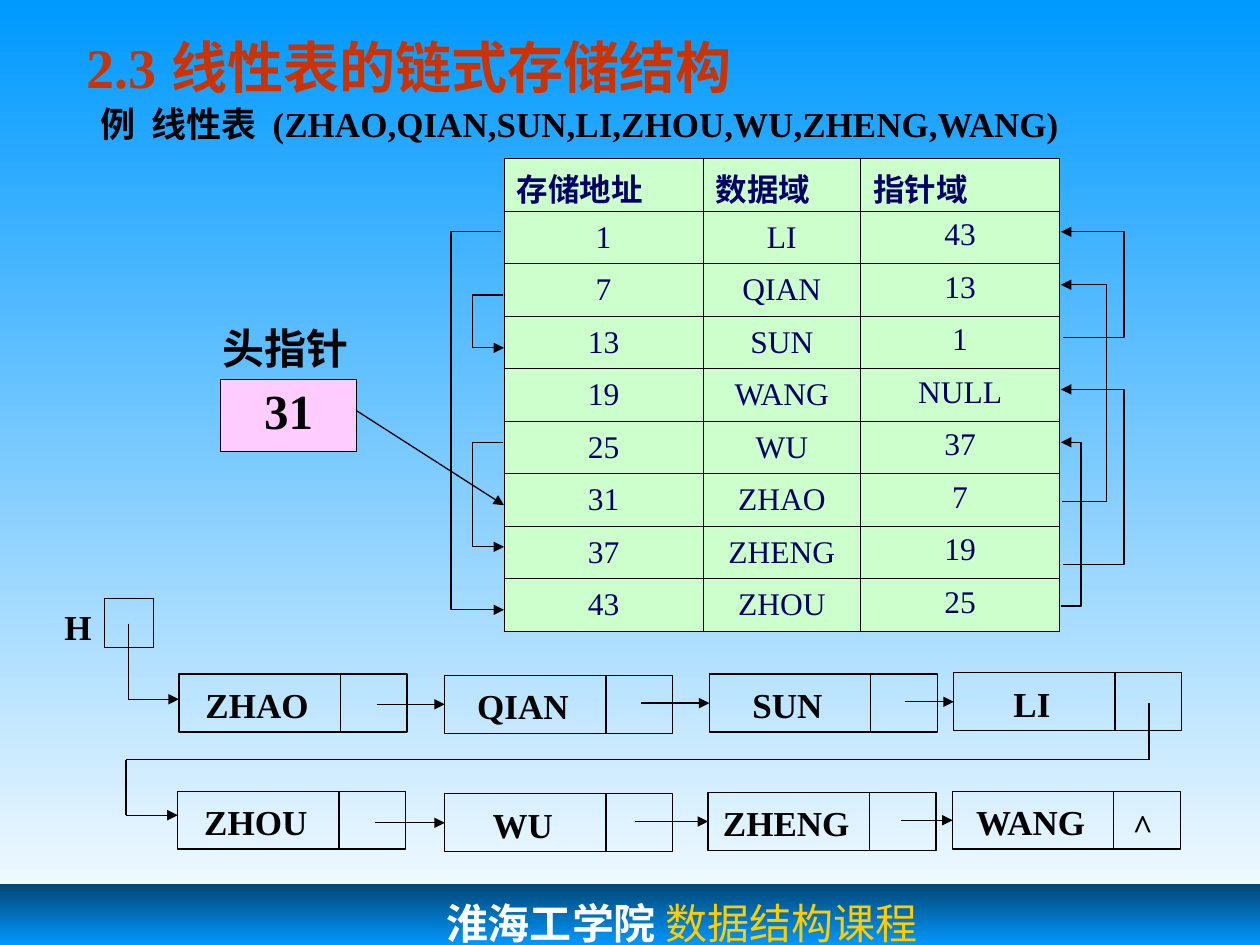
from copy import deepcopy
from itertools import pairwise

from pptx import Presentation
from pptx.dml.color import RGBColor
from pptx.enum.shapes import MSO_CONNECTOR, MSO_SHAPE
from pptx.enum.text import MSO_ANCHOR, MSO_AUTO_SIZE, PP_ALIGN
from pptx.oxml.ns import qn
from pptx.util import Inches, Pt

LEFT, CENTER = PP_ALIGN.LEFT, PP_ALIGN.CENTER
TOP, MIDDLE = MSO_ANCHOR.TOP, MSO_ANCHOR.MIDDLE
FIT_SHAPE = MSO_AUTO_SIZE.SHAPE_TO_FIT_TEXT
RECTANGLE, STRAIGHT = MSO_SHAPE.RECTANGLE, MSO_CONNECTOR.STRAIGHT
SERIF = "Times New Roman"
BLACK, NAVY, SKY, DEEP, GREEN = "000000", "000066", "0099FF", "004776", "CCFFCC"

HEADING = "2.3 线性表的链式存储结构"
EXAMPLE = "例  线性表  (ZHAO,QIAN,SUN,LI,ZHOU,WU,ZHENG,WANG)"
FOOTER = [("淮海工学院", "Courier New", "FFFFFF", True),
          (" 数据结构课程", SERIF, "FFCC00", False)]

ADDRESSES = [["存储地址"], ["1"], ["7"], ["13"], ["19"], ["25"], ["31"], ["37"], ["43"]]
RECORDS = [["数据域", "指针域"], ["LI", "43"], ["QIAN", "13"], ["SUN", "1"],
           ["WANG", "NULL"], ["WU", "37"], ["ZHAO", "7"], ["ZHENG", "19"], ["ZHOU", "25"]]

NODE_ROWS = [
    [("ZHAO", 1.42, 5.35, 1.02), ("QIAN", 3.53, 5.36, 0.92),
     ("SUN", 5.63, 5.35, 0.75), ("LI", 7.57, 5.34, 0.49)],
    [("ZHOU", 1.41, 6.28, 1.02), ("WU", 3.53, 6.3, 0.68),
     ("ZHENG", 5.62, 6.29, 1.2), ("WANG", 7.56, 6.28, 1.09)],
]
NEXT_STARTS = [[2.99, 5.09, 7.18], [2.98, 5.04, 7.15]]
NODE_W, NODE_H, DATA_W, LABEL_H = 1.81, 0.46, 1.28, 0.44
NAME_CENTER = 0.62
TURNING_LINKS = [
    [(1.02, 4.95), (1.02, 5.55), (1.42, 5.55)],
    [(9.12, 5.58), (9.12, 6.03), (1, 6.03), (1, 6.47), (1.41, 6.47)],
]
POINTER_LOOPS = [
    (8.43, 8.78, 8.42, 3.98, 2.26), (3.99, 3.75, 4, 2.34, 2.76),
    (8.44, 8.92, 8.42, 2.68, 1.84), (3.98, 3.58, 4, 1.84, 4.84),
    (8.42, 8.58, 8.42, 4.81, 3.51), (3.99, 3.75, 4, 3.51, 4.34),
    (8.44, 8.92, 8.42, 4.48, 3.09),
]


def rgb(value):
    return RGBColor.from_string(value)


def style_text(paragraph, size, color, bold=True, align=LEFT, font=SERIF):
    paragraph.alignment = align
    for run in paragraph.runs:
        run.font.size, run.font.name, run.font.bold = Pt(size), font, bold
        run.font.color.rgb = rgb(color)


def add_label(text, x, y, w, h, size, align=LEFT, anchor=MIDDLE):
    label = slide.shapes.add_textbox(Inches(x), Inches(y), Inches(w), Inches(h))
    frame = label.text_frame
    frame.text = text
    frame.word_wrap = False
    frame.auto_size = FIT_SHAPE
    frame.vertical_anchor = anchor
    if align == CENTER:
        frame.margin_left = frame.margin_right = 0
    style_text(frame.paragraphs[0], size, BLACK, align=align)


def add_box(x, y, w, h):
    box = slide.shapes.add_shape(RECTANGLE, Inches(x), Inches(y), Inches(w), Inches(h))
    box.shadow.inherit = False
    box.fill.background()
    draw_line(box)
    return box


def draw_line(part, arrow=False):
    part.line.color.rgb = rgb(BLACK)
    part.line.width = Pt(0.75)
    if arrow:
        outline = part.get_or_add_ln()
        outline.append(outline.makeelement(qn("a:tailEnd"), {"type": "triangle"}))


def add_segment(start, end, arrow=False):
    segment = slide.shapes.add_connector(STRAIGHT, *map(Inches, (*start, *end)))
    draw_line(segment, arrow)
    properties = segment._element.spPr
    properties.append(properties.makeelement(qn("a:effectLst"), {}))
    return segment


def set_gradient(fill, first, last):
    fill.gradient()
    fill.gradient_angle = 270
    for stop, color in zip(fill.gradient_stops, (first, last)):
        stop.color.rgb = rgb(color)


def add_border(cell):
    properties = cell._tc.get_or_add_tcPr()
    for side in ("a:lnL", "a:lnR", "a:lnT", "a:lnB"):
        edge = properties.makeelement(qn(side), {"w": str(Pt(0.45))})
        solid = edge.makeelement(qn("a:solidFill"), {})
        solid.append(solid.makeelement(qn("a:srgbClr"), {"val": BLACK}))
        edge.append(solid)
        properties.append(edge)


def add_grid(rows, x, y, widths, height, fill, size, color, header=True):
    grid = slide.shapes.add_table(len(rows), len(widths), Inches(x), Inches(y),
                                  Inches(sum(widths)), Inches(height)).table
    for column, width in zip(grid.columns, widths):
        column.width = Inches(width)
    for r, values in enumerate(rows):
        is_header = header and r == 0
        for c, value in enumerate(values):
            cell = grid.cell(r, c)
            add_border(cell)
            cell.fill.solid()
            cell.fill.fore_color.rgb = rgb(fill)
            cell.text_frame.text = value
            cell.vertical_anchor = MIDDLE if header and not is_header and c == 0 else TOP
            style_text(cell.text_frame.paragraphs[0], size, color,
                       is_header or not header, LEFT if is_header else CENTER)


prs = Presentation()
prs.slide_width, prs.slide_height = Inches(10), Inches(7.5)
slide = prs.slides.add_slide(prs.slide_layouts[5])
set_gradient(slide.background.fill, SKY, "FFFFFF")

heading = slide.shapes.title
heading.left, heading.top, heading.width, heading.height = map(Inches, (0.59, 0.21, 5.75, 0.64))
heading.text_frame.text = HEADING
heading.text_frame.vertical_anchor = TOP
style_text(heading.text_frame.paragraphs[0], 32, "CC3300")

footer = add_box(0, 7.02, 10, 0.97)
footer.line.fill.background()
set_gradient(footer.fill, DEEP, SKY)
footer.fill.gradient_stops[1].position = 0.5
stops = footer._element.spPr.find(".//" + qn("a:gsLst"))
stops.append(deepcopy(stops[0]))
stops[-1].set("pos", "100000")
footer.text_frame.vertical_anchor = TOP
footer.text_frame.margin_left = Inches(3.54)
footer.text_frame.margin_top = Inches(0.1)
footer_line = footer.text_frame.paragraphs[0]
footer_line.alignment = LEFT
for text, font, color, bold in FOOTER:
    run = footer_line.add_run()
    run.text = text
    run.font.size, run.font.name, run.font.bold = Pt(24), font, bold
    run.font.color.rgb = rgb(color)

add_label(EXAMPLE, 0.7, 0.76, 7.9, LABEL_H, 20)
add_label("H", 0.42, 4.75, 0.4, LABEL_H, 20, CENTER)
add_box(0.83, 4.75, 0.39, 0.39)

for nodes, starts in zip(NODE_ROWS, NEXT_STARTS):
    boxes = []
    for name, x, y, width in nodes:
        boxes.append(add_box(x, y, NODE_W, NODE_H))
        add_segment((x + DATA_W, y), (x + DATA_W, y + NODE_H))
        add_label(name, x + NAME_CENTER - width / 2, y + 0.02, width, LABEL_H, 20, CENTER)
    for start, box, (_, x, y, _) in zip(starts, boxes[1:], nodes[1:]):
        middle = y + NODE_H / 2
        add_segment((start, middle), (x, middle), arrow=True).end_connect(box, 1)
add_label("^", 8.89, 6.33, 0.36, LABEL_H, 20, CENTER)

for points in TURNING_LINKS:
    for start, end in pairwise(points):
        add_segment(start, end, arrow=end == points[-1])

add_grid(RECORDS, 5.58, 1.26, [1.25, 1.58], 3.75, GREEN, 18, NAVY)
add_grid(ADDRESSES, 4, 1.26, [1.58], 3.75, GREEN, 18, NAVY)
add_grid([["31"]], 1.75, 3.01, [1.08], 0.57, "FFCCFF", 28, BLACK, header=False)
add_label("头指针", 1.67, 2.51, 1.2, 0.5, 24, anchor=TOP)
add_segment((2.83, 3.26), (4, 4.01), arrow=True)

for start_x, bend_x, end_x, start_y, end_y in POINTER_LOOPS:
    outline = slide.shapes.build_freeform(Inches(start_x), Inches(start_y))
    corners = [(bend_x, start_y), (bend_x, end_y), (end_x, end_y)]
    outline.add_line_segments([(Inches(x), Inches(y)) for x, y in corners], close=False)
    loop = outline.convert_to_shape()
    loop.shadow.inherit = False
    loop.fill.background()
    draw_line(loop, arrow=True)

prs.save("out.pptx")
